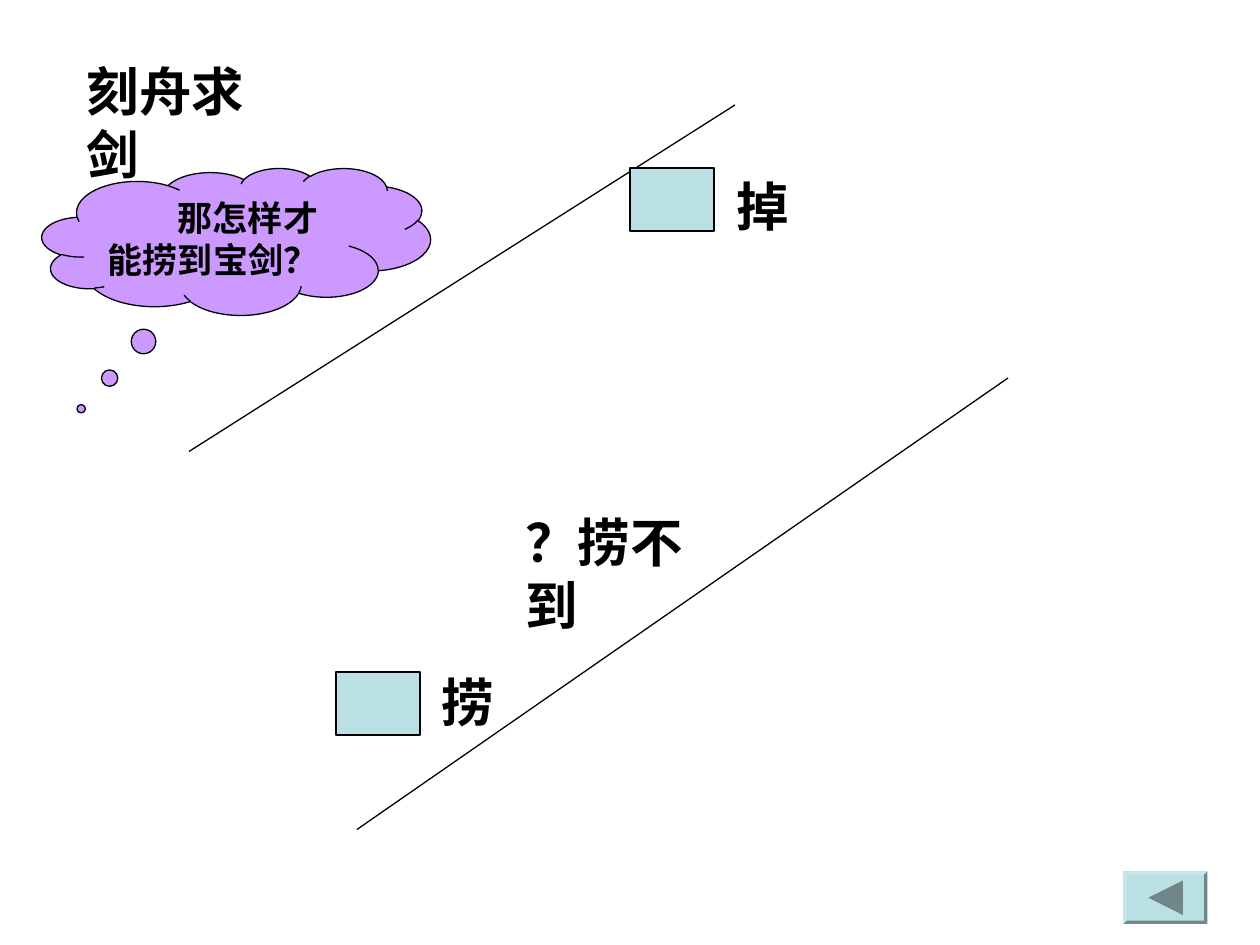
from dataclasses import dataclass

from lxml import etree
from pptx import Presentation
from pptx.dml.color import RGBColor
from pptx.enum import shapes, text
from pptx.oxml.ns import qn
from pptx.util import Pt


@dataclass(frozen=True)
class Theme:
    font: str = "Arial"
    ink: str = "000000"
    marker: str = "BBE0E3"
    thought: str = "CC99FF"
    bevel_light: str = "C8E6E9"
    bevel_dark: str = "708688"
    label_size: float = 30
    thought_size: float = 20
    line_width: float = 0.75


@dataclass(frozen=True)
class Box:
    left: float
    top: float
    width: float
    height: float

    def lengths(self) -> list:
        return [Pt(v) for v in (self.left, self.top, self.width, self.height)]


@dataclass(frozen=True)
class Label:
    wording: str
    box: Box


@dataclass(frozen=True)
class Slope:
    start: tuple[float, float]
    end: tuple[float, float]


THEME = Theme()
SLOPES = [Slope((108, 258), (420, 60)), Slope((204, 474), (576, 216))]
MARKERS = [Box(360, 96, 48, 36), Box(192, 384, 48, 36)]
TITLE = Label("刻舟求剑", Box(42.5, 30, 134, 43.2))
LABELS = [
    Label("捞", Box(245, 379.5, 44, 43.2)),
    Label("掉", Box(414, 96, 44, 43.2)),
    Label("？捞不到", Box(293, 288, 134, 43.2)),
]
THOUGHT = Label("那怎样才能捞到宝剑？", Box(24, 96, 222, 84))
BACK_BUTTON = Box(642, 498, 48, 30)


def colour(value: str) -> RGBColor:
    return RGBColor.from_string(value)


def write(shape, wording: str, size: float, wrap: bool) -> None:
    frame = shape.text_frame
    frame_format = {
        "margin_left": Pt(7.2), "margin_right": Pt(7.2),
        "margin_top": Pt(3.6), "margin_bottom": Pt(3.6),
        "word_wrap": wrap, "vertical_anchor": text.MSO_ANCHOR.TOP,
        "auto_size": text.MSO_AUTO_SIZE.NONE if wrap
        else text.MSO_AUTO_SIZE.SHAPE_TO_FIT_TEXT,
    }
    for name, value in frame_format.items():
        setattr(frame, name, value)
    paragraph = frame.paragraphs[0]
    paragraph.alignment = text.PP_ALIGN.LEFT
    run = paragraph.add_run()
    run.text = wording
    font_format = {"name": THEME.font, "size": Pt(size), "bold": True}
    for name, value in font_format.items():
        setattr(run.font, name, value)
    run.font.color.rgb = colour(THEME.ink)


def paint(shape, fill: str, outlined: bool = True) -> None:
    shape.shadow.inherit = False
    shape.fill.solid()
    shape.fill.fore_color.rgb = colour(fill)
    if outlined:
        shape.line.color.rgb = colour(THEME.ink)
        shape.line.width = Pt(THEME.line_width)
    else:
        shape.line.fill.background()


def draw_slope(slide, slope: Slope) -> None:
    ends = [Pt(v) for v in (*slope.start, *slope.end)]
    line = slide.shapes.add_connector(shapes.MSO_CONNECTOR.STRAIGHT, *ends)
    line.line.color.rgb = colour(THEME.ink)
    line.line.width = Pt(THEME.line_width)
    etree.SubElement(line._element.spPr, qn("a:effectLst"))


def draw_title(slide, label: Label) -> None:
    title = slide.shapes.title
    for name, value in zip(("left", "top", "width", "height"), label.box.lengths()):
        setattr(title, name, value)
    write(title, label.wording, THEME.label_size, wrap=False)


def draw_label(slide, label: Label) -> None:
    box = slide.shapes.add_textbox(*label.box.lengths())
    write(box, label.wording, THEME.label_size, wrap=False)


def draw_marker(slide, box: Box) -> None:
    paint(slide.shapes.add_shape(shapes.MSO_SHAPE.RECTANGLE, *box.lengths()),
          THEME.marker)


def draw_thought(slide, label: Label) -> None:
    """Draw the cloud, its first line indented by two characters."""
    cloud = slide.shapes.add_shape(shapes.MSO_SHAPE.CLOUD_CALLOUT,
                                   *label.box.lengths())
    cloud.adjustments[0] = -0.399
    cloud.adjustments[1] = 1.138
    paint(cloud, THEME.thought)
    write(cloud, label.wording, THEME.thought_size, wrap=True)
    properties = cloud.text_frame.paragraphs[0]._p.get_or_add_pPr()
    properties.set("indent", str(Pt(2 * THEME.thought_size)))


def draw_polygon(slide, points: list[tuple[float, float]], fill: str) -> None:
    first, *rest = [(Pt(x), Pt(y)) for x, y in points]
    builder = slide.shapes.build_freeform(*first)
    builder.add_line_segments(rest, close=True)
    paint(builder.convert_to_shape(), fill, outlined=False)


def corners(box: Box, inset: float = 0) -> list[tuple[float, float]]:
    """Give the corners clockwise from the top left."""
    left, top = box.left + inset, box.top + inset
    right = box.left + box.width - inset
    bottom = box.top + box.height - inset
    return [(left, top), (right, top), (right, bottom), (left, bottom)]


def draw_back_button(slide, box: Box) -> None:
    bevel = box.height / 16
    outer, inner = corners(box), corners(box, bevel)
    draw_polygon(slide, outer, THEME.marker)
    edge_fills = (THEME.bevel_light, THEME.bevel_dark,
                  THEME.bevel_dark, THEME.bevel_light)
    for side, fill in enumerate(edge_fills):
        after = (side + 1) % 4
        draw_polygon(slide, [outer[side], outer[after], inner[after], inner[side]],
                     fill)
    middle_x, middle_y = box.left + box.width / 2, box.top + box.height / 2
    reach = (box.height - 2 * bevel) * 3 / 8
    arrow = [(middle_x - reach, middle_y), (middle_x + reach, middle_y - reach),
             (middle_x + reach, middle_y + reach)]
    draw_polygon(slide, arrow, THEME.bevel_dark)


def main() -> None:
    deck = Presentation()
    deck.slide_width, deck.slide_height = Pt(720), Pt(540)
    slide = deck.slides.add_slide(deck.slide_layouts.get_by_name("Title Only"))
    draw_title(slide, TITLE)
    for slope in SLOPES:
        draw_slope(slide, slope)
    for marker in MARKERS:
        draw_marker(slide, marker)
    for label in LABELS:
        draw_label(slide, label)
    draw_thought(slide, THOUGHT)
    draw_back_button(slide, BACK_BUTTON)
    deck.save("out.pptx")


if __name__ == "__main__":
    main()
